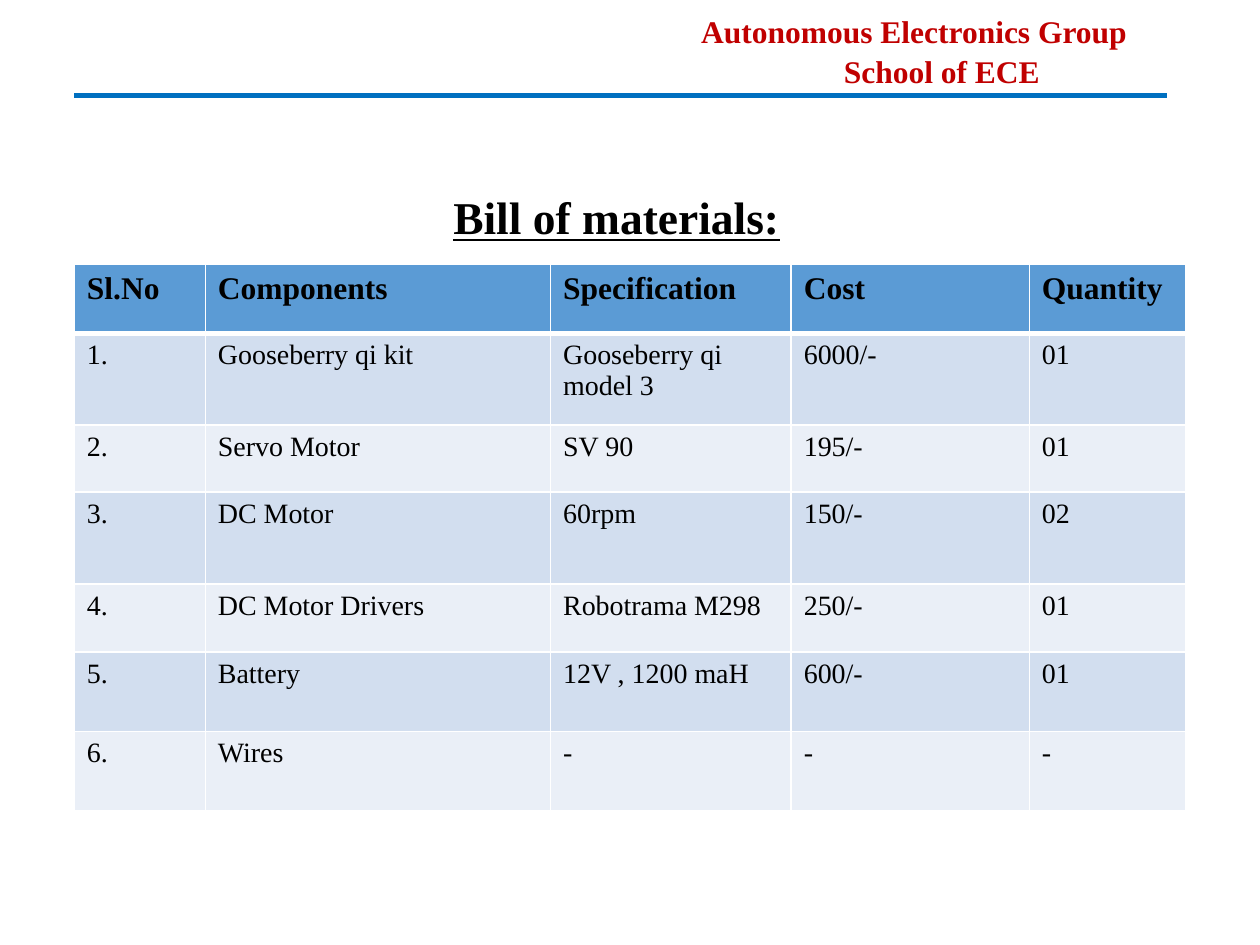
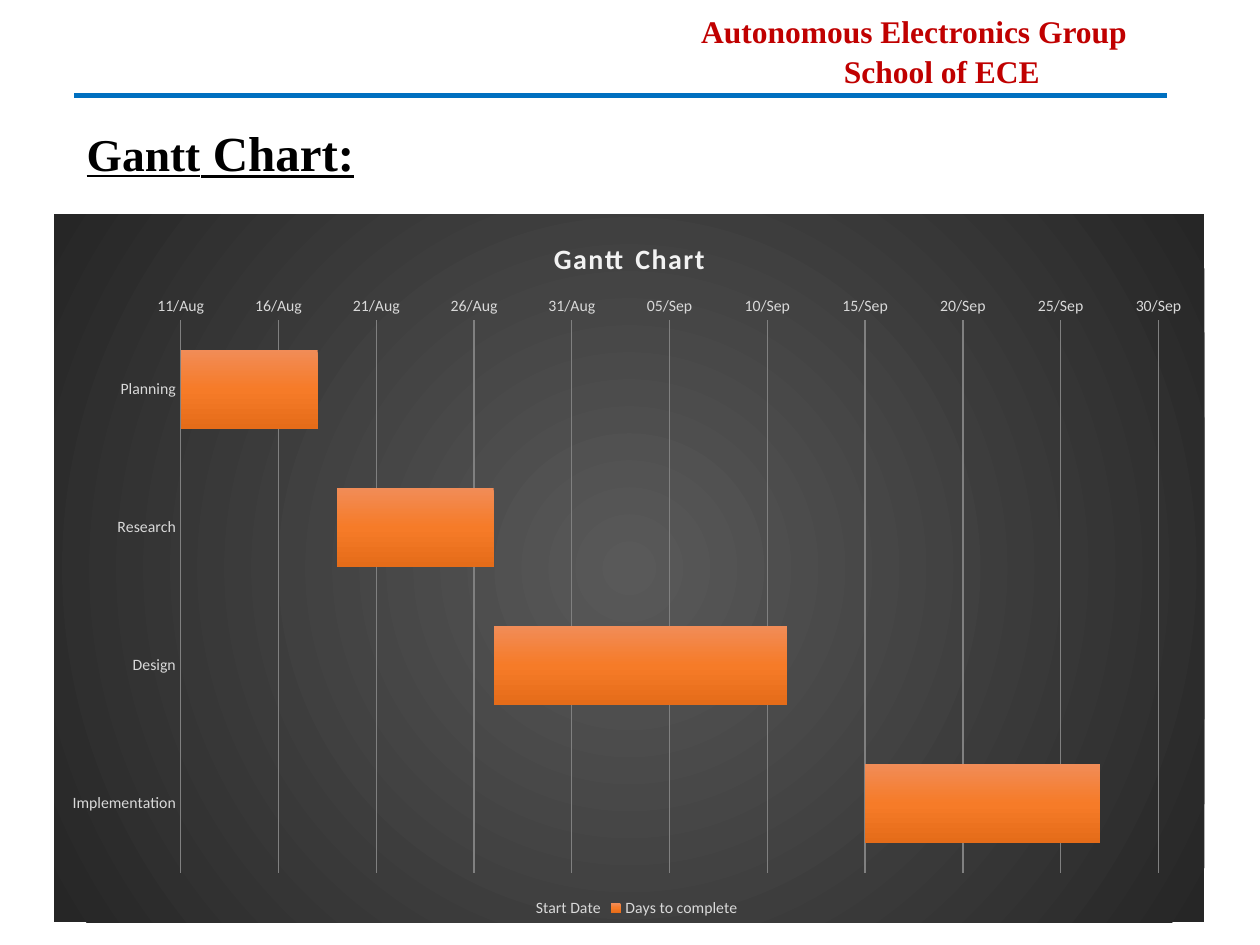
from dataclasses import dataclass
from typing import NamedTuple

from lxml.etree import SubElement
from pptx import Presentation
from pptx.chart.data import CategoryChartData
from pptx.dml.color import RGBColor
from pptx.enum.chart import XL_CHART_TYPE as ChartType
from pptx.enum.chart import XL_LEGEND_POSITION as LegendPosition
from pptx.enum.chart import XL_TICK_MARK as TickMark
from pptx.enum.shapes import MSO_CONNECTOR as Connector
from pptx.enum.text import PP_ALIGN as Align
from pptx.oxml import parse_xml
from pptx.oxml.ns import nsdecls, qn
from pptx.util import Emu, Inches, Pt

WIDTH, HEIGHT = Inches(10), Inches(7.5)
SERIF, SANS = "Times New Roman", "Calibri"
BLACK, WHITE, RED, BLUE = "000000", "FFFFFF", "C00000", "0070C0"
HEADER_FILL, BAND_FILLS = "5B9BD5", ("D2DEEF", "EAEFF7")
AXIS_TEXT, TITLE_TEXT, GRID_LINE = "D9D9D9", "F2F2F2", "808080"
BACKDROP_STOPS = ((0, "595959"), (100, "262626"))
BAR_STOPS = ((0, "F18C57"), (50, "F67B28"), (100, "E56C19"))
RADIAL = '<a:path path="circle"><a:fillToRect l="50000" t="50000" r="50000" b="50000"/></a:path>'
DOWNWARD = '<a:lin ang="5400000" scaled="0"/>'


class Run(NamedTuple):
    text: str
    size: float
    color: str = BLACK
    bold: bool = True
    underline: bool = False


@dataclass(frozen=True)
class Line:
    runs: tuple[Run, ...]
    align: Align = Align.LEFT
    indent: float = 0
    spacing: float = 1


@dataclass(frozen=True)
class Box:
    left: float
    top: float
    width: float
    height: float

    def place(self) -> tuple[Emu, Emu, Emu, Emu]:
        return across(self.left), down(self.top), across(self.width), down(self.height)


class Column(NamedTuple):
    heading: str
    width: float


class Task(NamedTuple):
    name: str
    start: int
    days: int


HEADER_BOX = Box(51.7, 0.4, 41.7, 9.2)
HEADER_LINES = (
    Line((Run("Autonomous Electronics Group", 18, RED),), Align.CENTER, 0, 1.05),
    Line((Run("School of ECE", 18, RED),), Align.CENTER, 4.4, 1.05),
)
RULE_LEFT, RULE_RIGHT, RULE_TOP = 5.9, 92.6, 10.13

MATERIALS_TITLE_BOX = Box(35, 19.4, 30, 7.2)
MATERIALS_BOX = Box(5.9, 28, 88.2, 57.8)
COLUMNS = (
    Column("Sl.No", 10.4),
    Column("Components", 27.4),
    Column("Specification", 19.1),
    Column("Cost", 18.9),
    Column("Quantity", 12.4),
)
ROW_HEIGHTS = (7.27, 9.73, 7.07, 9.73, 7.2, 8.4, 8.4)
MATERIALS = (
    ("Gooseberry qi kit", "Gooseberry qi model 3", "6000/-", "01"),
    ("Servo Motor", "SV 90", "195/-", "01"),
    ("DC Motor", "60rpm", "150/-", "02"),
    ("DC Motor Drivers", "Robotrama M298", "250/-", "01"),
    ("Battery", "12V , 1200 maH", "600/-", "01"),
    ("Wires", "-", "-", "-"),
)

GANTT_TITLE_BOX = Box(5.9, 12.27, 32.3, 7.6)
GANTT_BOX = Box(4.3, 22.67, 91.3, 74.93)
PLOT_SHARES = {"x": 0.11, "y": 0.15, "w": 0.85, "h": 0.78}
FIRST_DAY, LAST_DAY, DAY_STEP = 44419, 44469, 5
TASKS = (
    Task("Planning", 44419, 7),
    Task("Research", 44427, 8),
    Task("Design", 44435, 15),
    Task("Implementation", 44454, 12),
)


def across(percent: float) -> Emu:
    return Emu(round(WIDTH * percent / 100))


def down(percent: float) -> Emu:
    return Emu(round(HEIGHT * percent / 100))


def rgb(color: str) -> RGBColor:
    return RGBColor.from_string(color)


def style_font(font, size: float, color: str, bold: bool = False, name: str = SANS) -> None:
    font.name, font.size, font.bold = name, Pt(size), bold
    font.color.rgb = rgb(color)


def write_line(paragraph, line: Line) -> None:
    paragraph.alignment = line.align
    paragraph.line_spacing = line.spacing
    if line.indent:
        properties = paragraph._p.get_or_add_pPr()
        properties.set("marL", str(across(line.indent)))
        properties.set("indent", "0")
    for part in line.runs:
        run = paragraph.add_run()
        run.text = part.text
        style_font(run.font, part.size, part.color, part.bold, SERIF)
        run.font.underline = part.underline


def add_text(slide, box: Box, lines: tuple[Line, ...]) -> None:
    frame = slide.shapes.add_textbox(*box.place()).text_frame
    frame.word_wrap = True
    for index, line in enumerate(lines):
        write_line(frame.add_paragraph() if index else frame.paragraphs[0], line)


def add_header(slide) -> None:
    add_text(slide, HEADER_BOX, HEADER_LINES)
    rule = slide.shapes.add_connector(
        Connector.STRAIGHT, across(RULE_LEFT), down(RULE_TOP), across(RULE_RIGHT), down(RULE_TOP)
    )
    rule.line.color.rgb = rgb(BLUE)
    rule.line.width = Pt(3)
    SubElement(rule._element.spPr, qn("a:effectLst"))


def border_cell(cell, bottom_width: float) -> None:
    properties = cell._tc.get_or_add_tcPr()
    widths = {"lnL": 1, "lnR": 1, "lnT": 1, "lnB": bottom_width}
    for index, (edge, width) in enumerate(widths.items()):
        properties.insert(index, parse_xml(
            f'<a:{edge} {nsdecls("a")} w="{Pt(width)}"><a:solidFill>'
            f'<a:srgbClr val="{WHITE}"/></a:solidFill></a:{edge}>'
        ))


def add_materials_table(slide) -> None:
    rows = [tuple(column.heading for column in COLUMNS)]
    rows += [(f"{number}.", *material) for number, material in enumerate(MATERIALS, 1)]
    table = slide.shapes.add_table(len(rows), len(COLUMNS), *MATERIALS_BOX.place()).table
    for table_column, column in zip(table.columns, COLUMNS):
        table_column.width = across(column.width)
    for row_index, (texts, height) in enumerate(zip(rows, ROW_HEIGHTS)):
        table.rows[row_index].height = down(height)
        heading = row_index == 0
        fill = HEADER_FILL if heading else BAND_FILLS[(row_index - 1) % 2]
        for column_index, text in enumerate(texts):
            cell = table.cell(row_index, column_index)
            cell.fill.solid()
            cell.fill.fore_color.rgb = rgb(fill)
            border_cell(cell, 3 if heading else 1)
            run = Run(text, 18 if heading else 16, bold=heading)
            write_line(cell.text_frame.paragraphs[0], Line((run,)))


def gradient_properties(stops: tuple[tuple[int, str], ...], direction: str):
    stop_list = "".join(
        f'<a:gs pos="{position * 1000}"><a:srgbClr val="{color}"/></a:gs>'
        for position, color in stops
    )
    return parse_xml(
        f'<c:spPr {nsdecls("c", "a")}><a:gradFill rotWithShape="1"><a:gsLst>{stop_list}</a:gsLst>'
        f'{direction}</a:gradFill><a:ln><a:noFill/></a:ln></c:spPr>'
    )


def lay_out_plot(chart) -> None:
    plot_area = chart.element.find(".//" + qn("c:plotArea"))
    for layout in plot_area.findall(qn("c:layout")):
        plot_area.remove(layout)
    shares = "".join(f'<c:{key} val="{value}"/>' for key, value in PLOT_SHARES.items())
    plot_area.insert(0, parse_xml(
        f'<c:layout {nsdecls("c")}><c:manualLayout><c:layoutTarget val="inner"/>'
        f'<c:xMode val="edge"/><c:yMode val="edge"/>{shares}</c:manualLayout></c:layout>'
    ))


def style_axes(chart) -> None:
    for axis in (chart.category_axis, chart.value_axis):
        axis.major_tick_mark = axis.minor_tick_mark = TickMark.NONE
        axis.format.line.fill.background()
        style_font(axis.tick_labels.font, 9, AXIS_TEXT)
    chart.category_axis.reverse_order = True
    dates = chart.value_axis
    dates.minimum_scale, dates.maximum_scale, dates.major_unit = FIRST_DAY, LAST_DAY, DAY_STEP
    dates.tick_labels.number_format = "dd/mmm"
    dates.tick_labels.number_format_is_linked = False
    dates.has_major_gridlines = True
    dates.major_gridlines.format.line.color.rgb = rgb(GRID_LINE)
    dates.major_gridlines.format.line.width = Pt(0.75)


def add_gantt_chart(slide) -> None:
    data = CategoryChartData()
    data.categories = [task.name for task in TASKS]
    data.add_series("Start Date", [task.start for task in TASKS])
    data.add_series("Days to complete", [task.days for task in TASKS])
    chart = slide.shapes.add_chart(ChartType.BAR_STACKED, *GANTT_BOX.place(), data).chart
    style_font(chart.font, 10, BLACK)

    chart.has_title = True
    title = chart.chart_title.text_frame.paragraphs[0].add_run()
    title.text = "Gantt Chart"
    style_font(title.font, 16, TITLE_TEXT, True)
    title._r.get_or_add_rPr().set("spc", "100")
    chart.chart_title.include_in_layout = False

    chart.has_legend = True
    chart.legend.position = LegendPosition.BOTTOM
    chart.legend.include_in_layout = False
    style_font(chart.legend.font, 9, AXIS_TEXT)

    plot = chart.plots[0]
    plot.gap_width, plot.overlap, plot.vary_by_categories = 75, 100, False
    for series in plot.series:
        series.format.fill.background()
    bars = chart.element.findall(".//" + qn("c:ser"))[1]
    bars.replace(bars.find(qn("c:spPr")), gradient_properties(BAR_STOPS, DOWNWARD))
    backdrop = gradient_properties(BACKDROP_STOPS, RADIAL)
    chart.element.find(qn("c:chart")).addnext(backdrop)
    style_axes(chart)
    lay_out_plot(chart)


def main() -> None:
    presentation = Presentation()
    presentation.slide_width, presentation.slide_height = WIDTH, HEIGHT
    blank = presentation.slide_layouts[6]

    materials_slide = presentation.slides.add_slide(blank)
    title = Run("Bill of materials:", 26, underline=True)
    add_text(materials_slide, MATERIALS_TITLE_BOX, (Line((title,)),))
    add_header(materials_slide)
    add_materials_table(materials_slide)

    gantt_slide = presentation.slides.add_slide(blank)
    add_gantt_chart(gantt_slide)
    title_runs = (Run("Gantt", 26, underline=True), Run(" Chart:", 28, underline=True))
    add_text(gantt_slide, GANTT_TITLE_BOX, (Line(title_runs),))
    add_header(gantt_slide)

    presentation.save("out.pptx")


if __name__ == "__main__":
    main()
